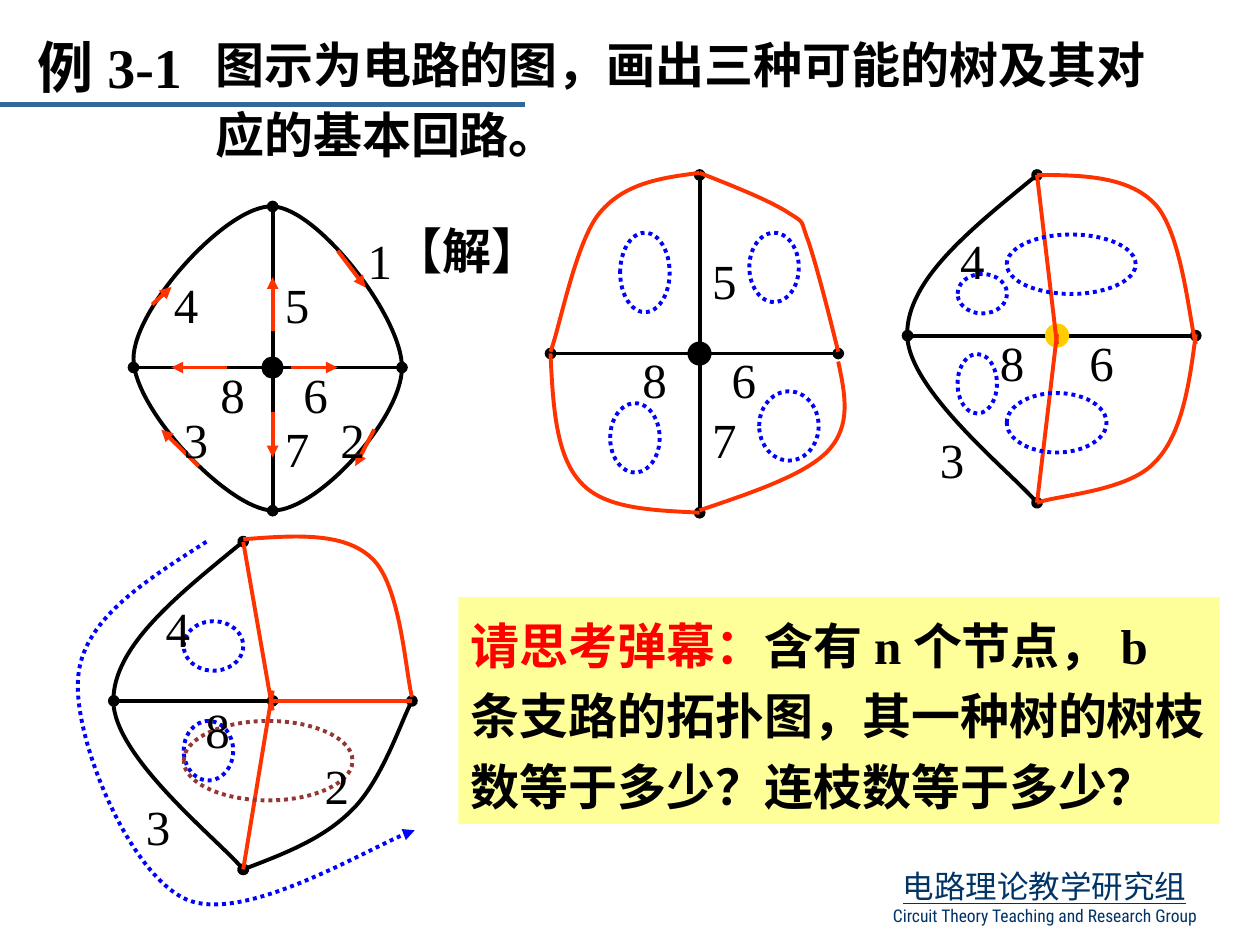
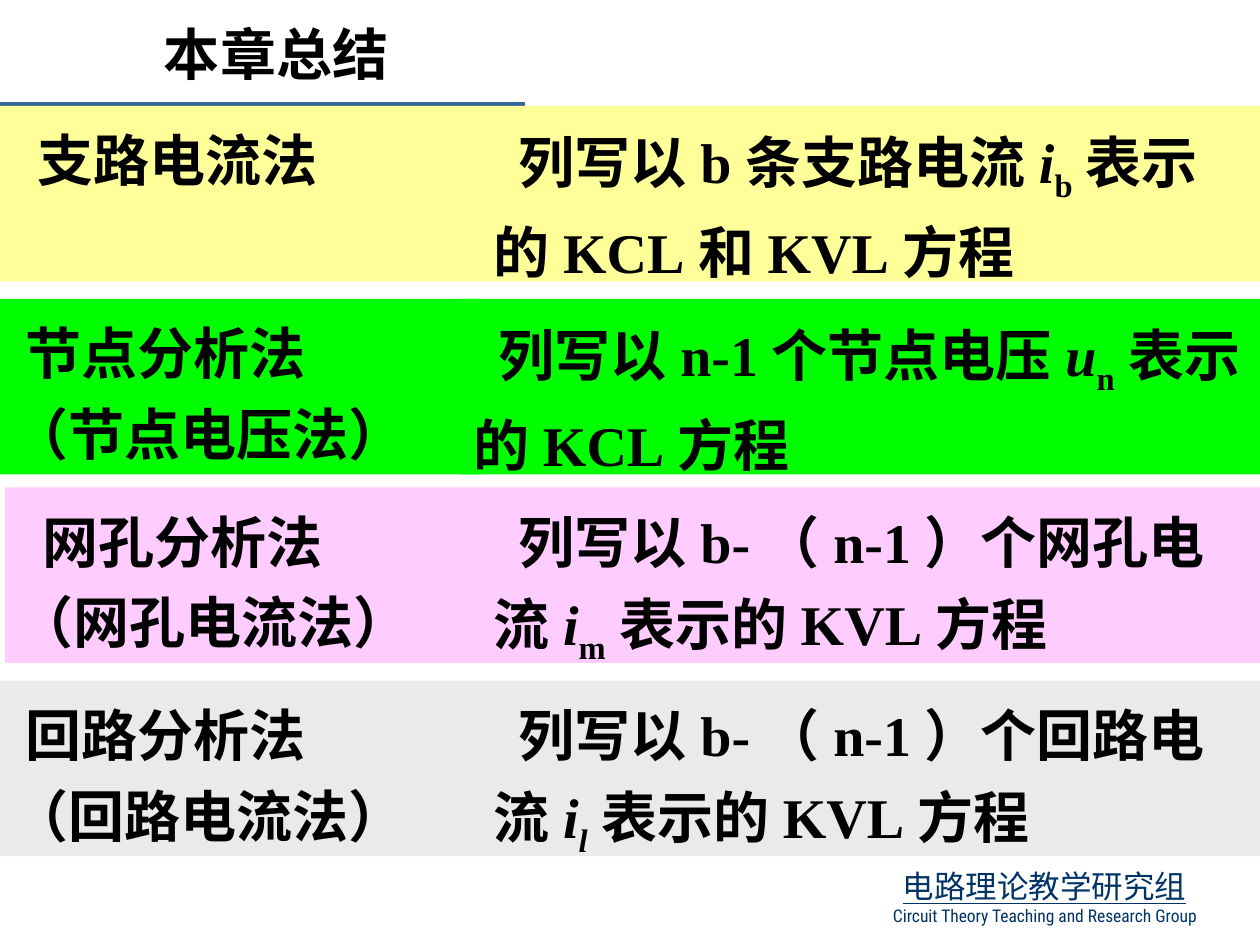
from lxml import etree
from pptx import Presentation
from pptx.dml.color import RGBColor as RGB
from pptx.enum.dml import MSO_LINE
from pptx.enum.shapes import MSO_CONNECTOR, MSO_SHAPE
from pptx.enum.text import MSO_ANCHOR, MSO_AUTO_SIZE, PP_ALIGN
from pptx.oxml.ns import qn
from pptx.util import Pt

BLACK = RGB(0x00, 0x00, 0x00)
RED = RGB(0xFF, 0x00, 0x00)
TREE_RED = RGB(0xFF, 0x33, 0x00)
LOOP_BLUE = RGB(0x00, 0x00, 0xFF)
LOOP_BROWN = RGB(0x94, 0x36, 0x34)
GOLD = RGB(0xFF, 0xCC, 0x00)
NAVY = RGB(0x00, 0x33, 0x66)
RULE_BLUE = RGB(0x33, 0x66, 0x99)
YELLOW = RGB(0xFF, 0xFF, 0x99)
GREEN = RGB(0x00, 0xFF, 0x00)
PINK = RGB(0xFF, 0xCC, 0xFF)
GREY = RGB(0xEA, 0xEA, 0xEA)
LATIN = "Times New Roman"
CJK = "Noto Sans CJK SC"


def write(shape, paragraphs, size=28, bold=True, color=BLACK,
          align=PP_ALIGN.LEFT, indent=0, spacing=1.0):
    """Fill a shape with paragraphs, each a list of (text, format changes)."""
    tf = shape.text_frame
    tf.word_wrap = True
    tf.auto_size = MSO_AUTO_SIZE.NONE
    tf.vertical_anchor = MSO_ANCHOR.TOP
    tf.margin_left = tf.margin_right = Pt(7.2)
    tf.margin_top = tf.margin_bottom = Pt(3.6)
    for i, runs in enumerate(paragraphs):
        p = tf.add_paragraph() if i else tf.paragraphs[0]
        p.alignment = align
        p.line_spacing = spacing
        if indent and i == 0:
            p._p.get_or_add_pPr().set("indent", str(Pt(indent)))
        for text, change in runs:
            r = p.add_run()
            r.text = text
            f = r.font
            f.size = Pt(change.get("size", size))
            f.bold = bold
            f.italic = change.get("italic", False)
            f.underline = change.get("underline", False)
            f.name = change.get("font", LATIN)
            f.color.rgb = change.get("color", color)
            rPr = r._r.get_or_add_rPr()
            etree.SubElement(rPr, qn("a:ea")).set("typeface", CJK)
            if "base" in change:
                rPr.set("baseline", str(change["base"] * 1000))


def stroke(s, pts, color=BLACK, width=2.25, head=None, tail=None, dash=None):
    """Draw a line through two points, or a chain of cubic curves through more."""
    if len(pts) == 2:
        (x1, y1), (x2, y2) = pts
        shape = s.shapes.add_connector(MSO_CONNECTOR.STRAIGHT, Pt(x1), Pt(y1), Pt(x2), Pt(y2))
        etree.SubElement(shape._element.spPr, qn("a:effectLst"))
    else:
        fb = s.shapes.build_freeform(Pt(pts[0][0]), Pt(pts[0][1]))
        fb.add_line_segments([(Pt(x), Pt(y)) for x, y in pts[1:]], close=pts[0] == pts[-1])
        shape = fb.convert_to_shape()
        segments = list(shape._element.iter(qn("a:lnTo")))
        for i in range(0, len(segments), 3):
            curve = etree.Element(qn("a:cubicBezTo"))
            segments[i].addprevious(curve)
            for segment in segments[i:i + 3]:
                curve.append(segment[0])
                segment.getparent().remove(segment)
        shape.fill.background()
        shape.shadow.inherit = False
    shape.line.color.rgb = color
    shape.line.width = Pt(width)
    if dash:
        shape.line.dash_style = dash
    ln = shape.line._get_or_add_ln()
    for tag, kind in (("a:headEnd", head), ("a:tailEnd", tail)):
        if kind:
            etree.SubElement(ln, qn(tag)).set("type", kind)


prs = Presentation()
prs.slide_width, prs.slide_height = Pt(720), Pt(540)

# Shared parts: title, rule under it, footer
slides = []
for title, (x, y, w, h), indent, spacing in (
        ("例3-1", (14.4, 15, 107.6, 45.5), 0, 1.0),
        ("本章总结", (0, 0, 527, 54), 86.5, 1.2)):
    s = prs.slides.add_slide(prs.slide_layouts[5])
    sp = s.shapes.title
    sp.left, sp.top, sp.width, sp.height = Pt(x), Pt(y), Pt(w), Pt(h)
    write(sp, [[(title, {})]], size=32, indent=indent, spacing=spacing)
    stroke(s, [(0, 59.8), (300, 59.8)], RULE_BLUE, width=3)
    footer = s.shapes.add_textbox(Pt(486), Pt(492), Pt(222), Pt(41))
    write(footer, [[("电路理论教学研究组", {"font": CJK, "underline": True})],
                   [("Circuit Theory Teaching and Research Group",
                     {"font": "Roboto Condensed", "size": 10})]],
          size=18, bold=False, color=NAVY, align=PP_ALIGN.CENTER)
    slides.append(s)
example, summary = slides

# Example 3-1: the graph, then three trees with their loops
left_arc = [(592.6, 100), (556, 130), (518.4, 160), (518.4, 191),
            (518.4, 222), (579, 271), (592.6, 287.3)]
stroke(example, [(155.8, 118), (181.4, 119), (229.7, 181), (229.7, 210),
                 (229.7, 239), (181.4, 292), (155.8, 291.8),
                 (130.3, 291), (76.3, 234), (76.3, 205),
                 (76.3, 176), (130.3, 116.6), (155.8, 118)])
for branch in (
        [(76.3, 210), (229.7, 210)],
        [(155.8, 118), (155.8, 291.8)],
        [(314.6, 202), (479, 202)],
        [(399.8, 100), (399.8, 293)],
        [(518.6, 191.8), (683.3, 191.8)],
        left_arc,
        [(x - 453.6, y + 209.5) for x, y in left_arc],
        [(65, 400.5), (155.8, 400.5)],
        [(139, 496.8), (162, 488), (185, 479), (201, 463),
         (217.4, 447), (229.7, 411), (235.4, 400.5)]):
    stroke(example, branch, head="oval", tail="oval")

for x, y, size, color in ((150.5, 204.8, 10.5, BLACK), (394, 196.3, 11.5, BLACK),
                          (598.3, 186, 11.5, GOLD)):
    node = example.shapes.add_shape(MSO_SHAPE.OVAL, Pt(x), Pt(y), Pt(size), Pt(size))
    node.shadow.inherit = False
    node.fill.solid()
    node.fill.fore_color.rgb = color
    node.line.color.rgb = color
    node.line.width = Pt(2.25)

for direction in (
        [(87, 174), (98, 164)], [(129.6, 210), (98, 210)],
        [(166.3, 210), (193, 210)], [(155.8, 189.4), (155.8, 158.4)],
        [(155.8, 235.4), (155.8, 261.4)], [(113.5, 266.4), (92.2, 245.5)],
        [(213.8, 245.5), (203, 266.4)], [(193, 143.3), (208.8, 164.2)]):
    stroke(example, direction, TREE_RED, tail="triangle")

for link in (
        [(399.8, 98.8), (378.7, 101.5), (357, 104.4), (342.7, 121.7),
         (329, 138), (319.7, 188), (314.6, 201)],
        [(399.8, 98.8), (419.8, 106.6), (440.6, 115), (450.7, 121.7),
         (460.8, 128), (457, 125.3), (462, 138),
         (466.6, 152), (473, 176.4), (479, 201)],
        [(314.6, 202), (316, 231), (317.5, 260.6), (332, 275.8),
         (345.6, 291), (373, 291.6), (399.8, 293)],
        [(479, 206.6), (483, 225.4), (486.7, 243.4), (473, 257.8),
         (460, 271.4), (429.8, 281.5), (399.8, 291.6)],
        [(592.6, 100), (619, 100), (645, 100.8), (660, 116.6),
         (675.4, 133), (679.7, 183), (683.3, 196.6)],
        [(683.3, 191), (679.7, 219.6), (675.4, 248.4), (660, 264),
         (645, 280.8), (604, 283), (592.6, 287.3)],
        [(592.6, 100), (604, 196.6)],
        [(604, 191), (592.6, 287.3)],
        [(139, 309.6), (155.8, 406)],
        [(155.8, 394.6), (139, 496.8)],
        [(155.8, 400.5), (235.4, 400.5)],
        [(139, 308.2), (167.8, 306), (196.6, 303.8), (212.4, 319),
         (229, 334), (231.8, 385), (235.4, 398.2)]):
    stroke(example, link, TREE_RED)

for x, y, w, h, color in (
        (354.4, 133, 28.3, 45.4, LOOP_BLUE), (428.2, 133, 28.3, 39.6, LOOP_BLUE),
        (348.7, 230.4, 28.3, 39.6, LOOP_BLUE), (433.8, 223.6, 34, 39.6, LOOP_BLUE),
        (575.3, 134, 73.7, 34, LOOP_BLUE), (575.3, 224.6, 57, 34, LOOP_BLUE),
        (547.2, 156.6, 28.3, 22.5, LOOP_BLUE), (547.2, 202.3, 22.5, 34, LOOP_BLUE),
        (105, 355, 34, 28.3, LOOP_BLUE), (105, 412, 28.3, 34, LOOP_BLUE),
        (105, 412, 96.5, 45.4, LOOP_BROWN)):
    loop = example.shapes.add_shape(MSO_SHAPE.OVAL, Pt(x), Pt(y), Pt(w), Pt(h))
    loop.shadow.inherit = False
    loop.fill.background()
    loop.line.color.rgb = color
    loop.line.width = Pt(2.25)
    loop.line.dash_style = MSO_LINE.ROUND_DOT
stroke(example, [(118, 309.6), (82, 332.6), (46, 355), (44.6, 388.8),
                 (42.5, 423.4), (74, 499.7), (106.6, 514),
                 (139, 527.8), (216.7, 481), (237, 474.5)],
       LOOP_BLUE, tail="triangle", dash=MSO_LINE.ROUND_DOT)

for number, x, y in (
        ("8", 118.8, 205), ("7", 155.7, 235.4), ("6", 166.3, 205), ("5", 155.7, 153.4),
        ("4", 92.2, 153.4), ("3", 97.8, 230.4), ("2", 187.4, 230.4), ("1", 203, 128),
        ("8", 360, 196.3), ("7", 399.8, 230.4), ("6", 411, 196.3), ("5", 399.8, 139.7),
        ("8", 564.3, 186.2), ("6", 615.4, 186.2), ("4", 541.5, 128), ("3", 530, 242),
        ("8", 110.3, 396.2), ("2", 178.4, 428.4), ("4", 87.6, 338.2), ("3", 76.3, 451.4)):
    label = example.shapes.add_textbox(Pt(x), Pt(y), Pt(28.5), Pt(41))
    write(label, [[(number, {})]], bold=False)

problem = example.shapes.add_textbox(Pt(116), Pt(9.4), Pt(556), Pt(88))
write(problem, [[("图示为电路的图，画出三种可能的树及其对应的基本回路。", {})]], spacing=1.2)
solution = example.shapes.add_textbox(Pt(218), Pt(122.4), Pt(108), Pt(41))
write(solution, [[("【解】", {})]])
question = example.shapes.add_shape(MSO_SHAPE.RECTANGLE, Pt(262), Pt(341.3), Pt(435), Pt(129.6))
question.shadow.inherit = False
question.fill.solid()
question.fill.fore_color.rgb = YELLOW
question.line.fill.background()
write(question, [[("请思考弹幕：", {"color": RED}),
                  ("含有n个节点，b条支路的拓扑图，其一种树的树枝数等于多少？连枝数等于多少？", {})]],
      spacing=1.2)

# Chapter summary: one coloured band per method
SUBSCRIPT = {"base": -25}
ITALIC = {"italic": True}
for y, color, left, split, names, name_indent, start, symbol, sub, sub_format, end in (
        (60.5, YELLOW, 0, 275, ["支路电流法"], 14.4,
         "列写以b条支路电流", "i", "b", SUBSCRIPT, "表示的KCL和KVL方程"),
        (170.8, GREEN, 0, 263.5, ["节点分析法", "（节点电压法）"], 7.4,
         "列写以n-1个节点电压", "u", "n", SUBSCRIPT, "表示的KCL方程"),
        (278.6, PINK, 3, 275, ["网孔分析法", "（网孔电流法）"], 14.4,
         "列写以b-（n-1）个网孔电流", "i", "m", SUBSCRIPT, "表示的KVL方程"),
        (389, GREY, 0, 275, ["回路分析法", "（回路电流法）"], 7.4,
         "列写以b-（n-1）个回路电流", "i", "l", SUBSCRIPT | ITALIC, "表示的KVL方程")):
    equations = [[(start, {}), (symbol, ITALIC), (sub, sub_format), (end, {})]]
    for x, right, paragraphs, indent in (
            (left, 275, [[(name, {})] for name in names], name_indent),
            (split, 720, equations, 14.4)):
        band = summary.shapes.add_shape(MSO_SHAPE.RECTANGLE, Pt(x), Pt(y), Pt(right - x), Pt(100.3))
        band.shadow.inherit = False
        band.fill.solid()
        band.fill.fore_color.rgb = color
        band.line.fill.background()
        write(band, paragraphs, size=32, indent=indent, spacing=1.2)

prs.save("out.pptx")
